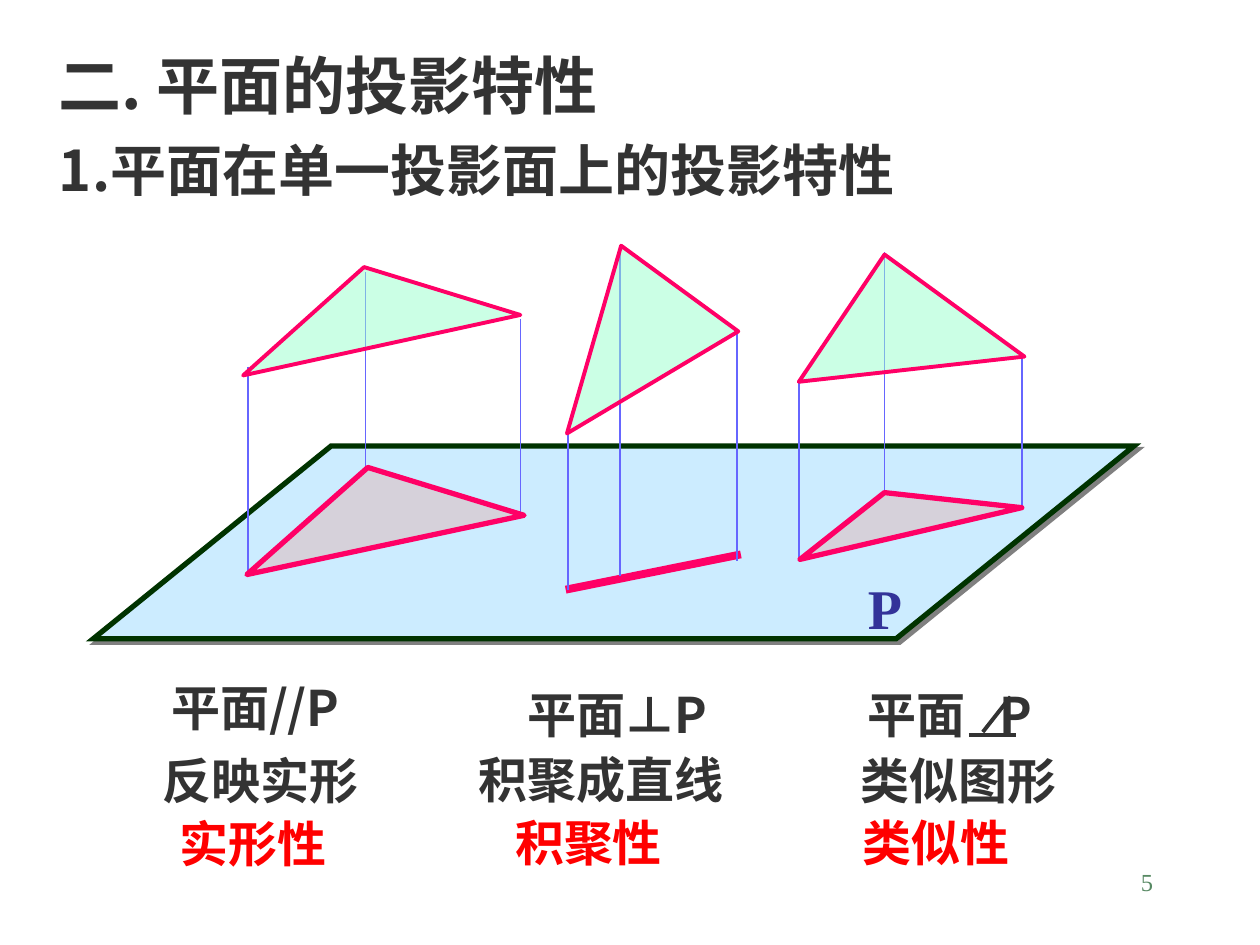
from dataclasses import dataclass

from lxml.etree import SubElement
from pptx import Presentation
from pptx.dml.color import RGBColor as Rgb
from pptx.enum.shapes import MSO_CONNECTOR as Link, MSO_SHAPE as Kind
from pptx.enum.text import MSO_ANCHOR as Anchor, MSO_AUTO_SIZE as Fit, PP_ALIGN as Align
from pptx.oxml.ns import qn
from pptx.util import Emu, Pt

UNIT = 9144  # EMU in one px, 100 px to the inch


@dataclass(frozen=True)
class Theme:
    ink: str = "333333"
    key: str = "FF0000"
    name: str = "333399"
    page: str = "578963"
    plane: str = "CCECFF"
    rim: str = "003300"
    shade: str = "808080"
    ray: str = "6666FF"
    edge: str = "FF0066"
    face: str = "99FFCC"
    image: str = "E1B7B7"
    sans: str = "Noto Sans CJK SC"
    serif: str = "Times New Roman"
    head: int = 36
    sub: int = 32
    body: int = 28
    note: int = 14


T = Theme()


def px(n):
    return Emu(n * UNIT)


def paint(fill, color):
    fill.solid()
    fill.fore_color.rgb = Rgb.from_string(color)


def stroke(shape, color, width, join=None):
    paint(shape.line.fill, color)
    shape.line.width = Pt(width)
    if join:
        SubElement(shape.line._get_or_add_ln(), qn(f"a:{join}"))


def style(para, size, color, font, bold):
    for run in para.runs:
        face = run.font
        face.size, face.bold, face.name = Pt(size), bold, font
        face.color.rgb = Rgb.from_string(color)
        SubElement(run._r.get_or_add_rPr(), qn("a:ea"), typeface=font)


def write(slide, box, text, size=T.body, color=T.ink, font=T.sans,
          bold=True, wrap=True, fit=Fit.SHAPE_TO_FIT_TEXT):
    shape = slide.shapes.add_textbox(*map(px, box))
    frame = shape.text_frame
    frame.text = text
    frame.word_wrap, frame.auto_size = wrap, fit
    style(frame.paragraphs[0], size, color, font, bold)
    return frame


def line(slide, start, end, color, width):
    link = slide.shapes.add_connector(Link.STRAIGHT, *map(px, start + end))
    stroke(link, color, width)
    SubElement(link._element.spPr, qn("a:effectLst"))


def facet(slide, points, color, width):
    """Half-clear triangle with a bright edge."""
    pen = slide.shapes.build_freeform(*points[0], scale=UNIT)
    pen.add_line_segments(points[1:], close=True)
    shape = pen.convert_to_shape()
    shape.shadow.inherit = False
    paint(shape.fill, color)
    tint = shape._element.spPr.find(f"{qn('a:solidFill')}/{qn('a:srgbClr')}")
    SubElement(tint, qn("a:alpha"), val="50000")
    stroke(shape, T.edge, width, "round")


def ground(slide):
    """Projection plane with a hard shadow."""
    shape = slide.shapes.add_shape(Kind.PARALLELOGRAM, *map(px, (74, 354, 826, 153)))
    shape.adjustments[0] = 1.234
    paint(shape.fill, T.plane)
    stroke(shape, T.rim, 3, "miter")
    shape.shadow.inherit = False
    glow = SubElement(shape._element.spPr.find(qn("a:effectLst")), qn("a:outerShdw"),
                      blurRad="0", dist=str(Pt(2.8)), dir=str(45 * 60000), rotWithShape="0")
    SubElement(glow, qn("a:srgbClr"), val=T.shade)


def title(slide):
    frame = write(slide, (37, 32, 810, 134), "二. 平面的投影特性", T.head)
    frame.vertical_anchor = Anchor.MIDDLE
    para = frame.add_paragraph()
    para.text = "1.平面在单一投影面上的投影特性"
    para.line_spacing = 1.2
    style(para, T.sub, T.ink, T.sans, True)


def figure(slide):
    ground(slide)
    # Plane seen edge-on gives a straight line
    line(slide, (449, 468), (588, 440), T.edge, 4.5)
    # Projection rays: x, top, bottom
    rays = [(197, 291, 454), (290, 216, 371), (413, 253, 409),
            (451, 341, 468), (492, 195, 457), (585, 261, 445),
            (634, 301, 444), (702, 200, 392), (811, 283, 404)]
    for x, top, low in rays:
        line(slide, (x, top), (x, low), T.ray, 1)
    # Triangles in space
    for points in ([(289, 212), (193, 298), (413, 250)],
                   [(493, 195), (450, 344), (586, 263)],
                   [(702, 202), (634, 303), (813, 283)]):
        facet(slide, points, T.face, 2.25)
    # Their images on the plane
    for points in ([(292, 371), (196, 456), (416, 409)],
                   [(702, 391), (635, 444), (811, 403)]):
        facet(slide, points, T.image, 3)
    write(slide, (679, 450, 47, 63), "P", T.sub, T.name, T.serif, wrap=False)


def notes(slide):
    # Position, outcome and property of each case
    for left, top, wide, text, color in (
            (126, 533, 202, "平面//P", T.ink),
            (119, 591, 176, "反映实形", T.ink),
            (133, 641, 212, "实形性", T.key),
            (409, 538, 229, "平面⊥P", T.ink),
            (370, 590, 310, "积聚成直线", T.ink),
            (399, 640, 215, "积聚性", T.key),
            (673, 591, 271, "类似图形", T.ink),
            (675, 640, 255, "类似性", T.key)):
        write(slide, (left, top, wide, 57), text, color=color)
    # Oblique case, with an angle sign drawn in the tab gap
    frame = write(slide, (679, 538, 161, 57), "平面\tP")
    tabs = SubElement(frame.paragraphs[0]._p.get_or_add_pPr(), qn("a:tabLst"))
    SubElement(tabs, qn("a:tab"), pos=str(px(104)), algn="l")
    line(slide, (802, 553), (780, 581), T.ink, 2.25)
    line(slide, (769, 583), (806, 583), T.ink, 2.25)


def main():
    deck = Presentation()
    deck.slide_width, deck.slide_height = px(1000), px(750)
    slide = deck.slides.add_slide(deck.slide_layouts[6])
    page = write(slide, (717, 683, 208, 50), "5", T.note, T.page, T.serif,
                 bold=False, fit=Fit.NONE)
    page.paragraphs[0].alignment = Align.RIGHT
    title(slide)
    figure(slide)
    notes(slide)
    deck.save("out.pptx")


if __name__ == "__main__":
    main()
